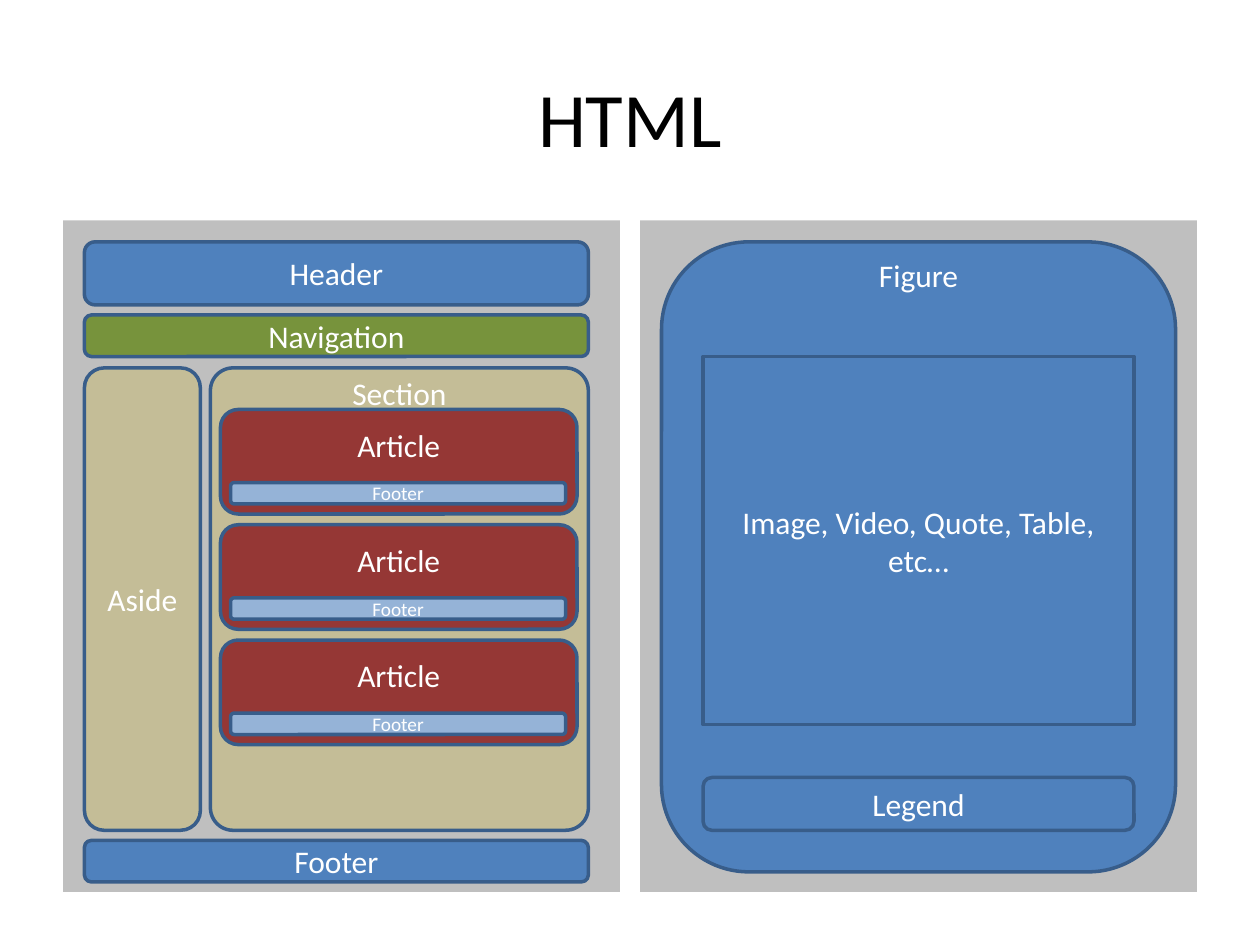
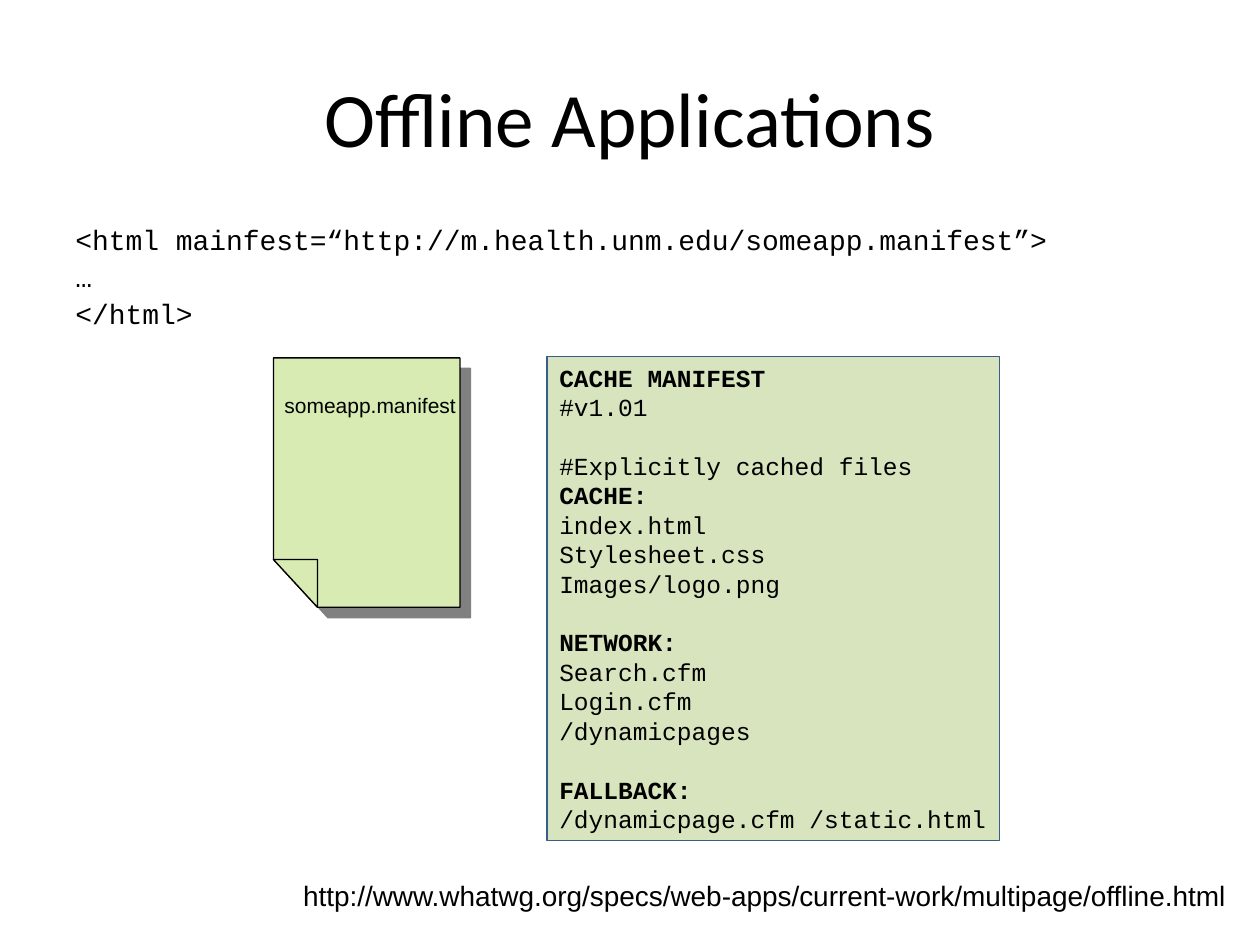
import pptx
import pptx.dml.color
import pptx.enum.shapes
import pptx.enum.text
import pptx.oxml
import pptx.oxml.ns
import pptx.util

Inches = pptx.util.Inches
Pt = pptx.util.Pt
KIND = pptx.enum.shapes.MSO_SHAPE
ALIGN = pptx.enum.text.PP_ALIGN
ANCHOR = pptx.enum.text.MSO_ANCHOR

COLORS = {
    "black": "000000", "white": "FFFFFF", "gray": "BFBFBF",
    "blue": "4F81BD", "edge": "385D8A", "green": "77933C",
    "tan": "C4BD97", "red": "953735", "pale": "95B3D7",
    "note": "D8EBB3", "code": "D7E4BD", "shade": "808080",
}
SANS, MONO, ARIAL = "Calibri", "Courier New", "Arial"

MANIFEST = [
    ["CACHE MANIFEST", "#v1.01"],
    ["#Explicitly cached files", "CACHE:", "index.html",
     "Stylesheet.css", "Images/logo.png"],
    ["NETWORK:", "Search.cfm", "Login.cfm", "/dynamicpages"],
    ["FALLBACK:", "/dynamicpage.cfm /static.html"],
]
HEADS = {"CACHE MANIFEST", "CACHE:", "NETWORK:", "FALLBACK:"}


def color(name):
    return pptx.dml.color.RGBColor.from_string(COLORS[name])


def paint(shape, fill, line=None, width=2):
    """Set fill and outline, without a shadow."""
    shape.shadow.inherit = False
    shape.fill.solid()
    shape.fill.fore_color.rgb = color(fill)
    if line:
        shape.line.color.rgb = color(line)
        shape.line.width = Pt(width)
    else:
        shape.line.fill.background()


def setup(shape, anchor=ANCHOR.TOP, wrap=True, inset=(0.1, 0.05)):
    """Prepare the text frame of a shape."""
    frame = shape.text_frame
    frame.word_wrap = wrap
    frame.vertical_anchor = anchor
    frame.margin_left = frame.margin_right = Inches(inset[0])
    frame.margin_top = frame.margin_bottom = Inches(inset[1])
    return frame


def write(frame, text, size, font=SANS, ink="black", align=ALIGN.LEFT,
          bold=False, first=True, pitch=None, before=0):
    """Add one paragraph with one run."""
    para = frame.paragraphs[0] if first else frame.add_paragraph()
    para.alignment = align
    if pitch:
        para.line_spacing = Pt(pitch)
    if before and not first:
        para.space_before = Pt(before)
    run = para.add_run()
    run.text = text
    run.font.size = Pt(size)
    run.font.name = font
    run.font.bold = bold
    run.font.color.rgb = color(ink)


def label(slide, box, text, size, anchor=ANCHOR.TOP, wrap=True, **style):
    """Add a text box with one line."""
    shape = slide.shapes.add_textbox(*map(Inches, box))
    write(setup(shape, anchor, wrap), text, size, **style)


def block(slide, box, fill, text=None, size=18, kind=KIND.ROUNDED_RECTANGLE,
          round_by=0.17, inset=(0.1, 0.05)):
    """Add an outlined block with an optional centred name."""
    shape = slide.shapes.add_shape(kind, *map(Inches, box))
    paint(shape, fill, "edge")
    if kind == KIND.ROUNDED_RECTANGLE:
        shape.adjustments[0] = round_by
    if text:
        frame = setup(shape, ANCHOR.MIDDLE, inset=inset)
        write(frame, text, size, ink="white", align=ALIGN.CENTER)


def caption(slide, left, top, width, text):
    """Name a block along its upper edge."""
    label(slide, (left, top, width, 0.4), text, 18, ink="white",
          align=ALIGN.CENTER)


def panel(slide, left):
    shape = slide.shapes.add_shape(
        KIND.RECTANGLE, *map(Inches, (left, 1.75, 4.42, 5.33)))
    paint(shape, "gray")


def outline(slide, points, fill):
    """Add a closed polygon from points in inches."""
    spots = [(Inches(x), Inches(y)) for x, y in points]
    draft = slide.shapes.build_freeform(*spots[0])
    draft.add_line_segments(spots[1:], close=True)
    shape = draft.convert_to_shape()
    paint(shape, fill, "black", 0.75)
    return shape


def shade(shape):
    """Give a shape a hard shadow to the lower right."""
    effects = shape._element.spPr.find(pptx.oxml.ns.qn("a:effectLst"))
    effects.append(pptx.oxml.parse_xml(
        f'<a:outerShdw {pptx.oxml.ns.nsdecls("a")} dist="{Pt(8.5)}" '
        f'dir="2700000" algn="ctr" rotWithShape="0">'
        f'<a:srgbClr val="{COLORS["shade"]}"/></a:outerShdw>'))


def start(deck, title):
    """Add a blank slide with the shared title."""
    slide = deck.slides.add_slide(deck.slide_layouts[6])
    label(slide, (0.5, 0.3, 9, 1.25), title, 44, ANCHOR.MIDDLE,
          align=ALIGN.CENTER)
    return slide


def layout(deck):
    slide = start(deck, "HTML")
    for left in (0.5, 5.08):
        panel(slide, left)

    # Page regions
    for top, height, fill, name in (
            (1.92, 0.5, "blue", "Header"),
            (2.5, 0.33, "green", "Navigation"),
            (6.67, 0.33, "blue", "Footer")):
        block(slide, (0.67, top, 4, height), fill, name)
    block(slide, (0.67, 2.92, 0.92, 3.67), "tan", "Aside")
    block(slide, (1.67, 2.92, 3, 3.67), "tan", round_by=0.06)
    caption(slide, 1.67, 2.92, 3, "Section")

    # Articles
    for index in range(3):
        top = 3.25 + index * 0.915
        block(slide, (1.75, top, 2.83, 0.83), "red")
        caption(slide, 1.75, top + 0.08, 2.83, "Article")
        block(slide, (1.83, top + 0.58, 2.66, 0.17), "pale", "Footer", 11,
              inset=(0.1, 0))

    # Figure
    block(slide, (5.25, 1.92, 4.08, 5), "blue")
    caption(slide, 5.25, 1.98, 4.08, "Figure")
    block(slide, (5.58, 2.83, 3.42, 2.92), "blue",
          "Image, Video, Quote, Table, etc…", kind=KIND.RECTANGLE)
    block(slide, (5.58, 6.17, 3.42, 0.42), "blue", "Legend")


def offline(deck):
    slide = start(deck, "Offline Applications")

    # Opening markup
    shape = slide.shapes.add_textbox(*map(Inches, (0.5, 1.75, 9, 1)))
    frame = setup(shape)
    markup = ("<html mainfest=“http://m.health.unm.edu/someapp.manifest”>",
              "…", "</html>")
    for index, line in enumerate(markup):
        write(frame, line, 16, MONO, first=index == 0, pitch=17, before=4)

    # Note with a folded corner
    page = outline(slide, [(2.17, 2.84), (3.65, 2.84), (3.65, 4.82),
                           (2.52, 4.82), (2.17, 4.44)], "note")
    shade(page)
    outline(slide, [(2.17, 4.44), (2.52, 4.44), (2.52, 4.82)], "note")
    label(slide, (2.16, 3.07, 1.56, 0.3), "someapp.manifest", 12,
          wrap=False, font=ARIAL)

    # Manifest listing
    sheet = slide.shapes.add_shape(
        KIND.RECTANGLE, *map(Inches, (4.34, 2.83, 3.59, 3.84)))
    paint(sheet, "code", "edge", 0.75)
    frame = setup(sheet, wrap=False)
    pitch = 16.8
    for part, lines in enumerate(MANIFEST):
        for row, line in enumerate(lines):
            write(frame, line, 14, MONO, bold=line in HEADS,
                  first=part == row == 0, pitch=pitch,
                  before=pitch if row == 0 else 0)

    # Source address
    label(slide, (1.33, 6.92, 8.5, 0.37),
          "http://www.whatwg.org/specs/web-apps/current-work/multipage/"
          "offline.html", 16, font=ARIAL, align=ALIGN.RIGHT)


def main():
    deck = pptx.Presentation()
    deck.slide_width = Inches(10)
    deck.slide_height = Inches(7.5)
    layout(deck)
    offline(deck)
    deck.save("out.pptx")


if __name__ == "__main__":
    main()
